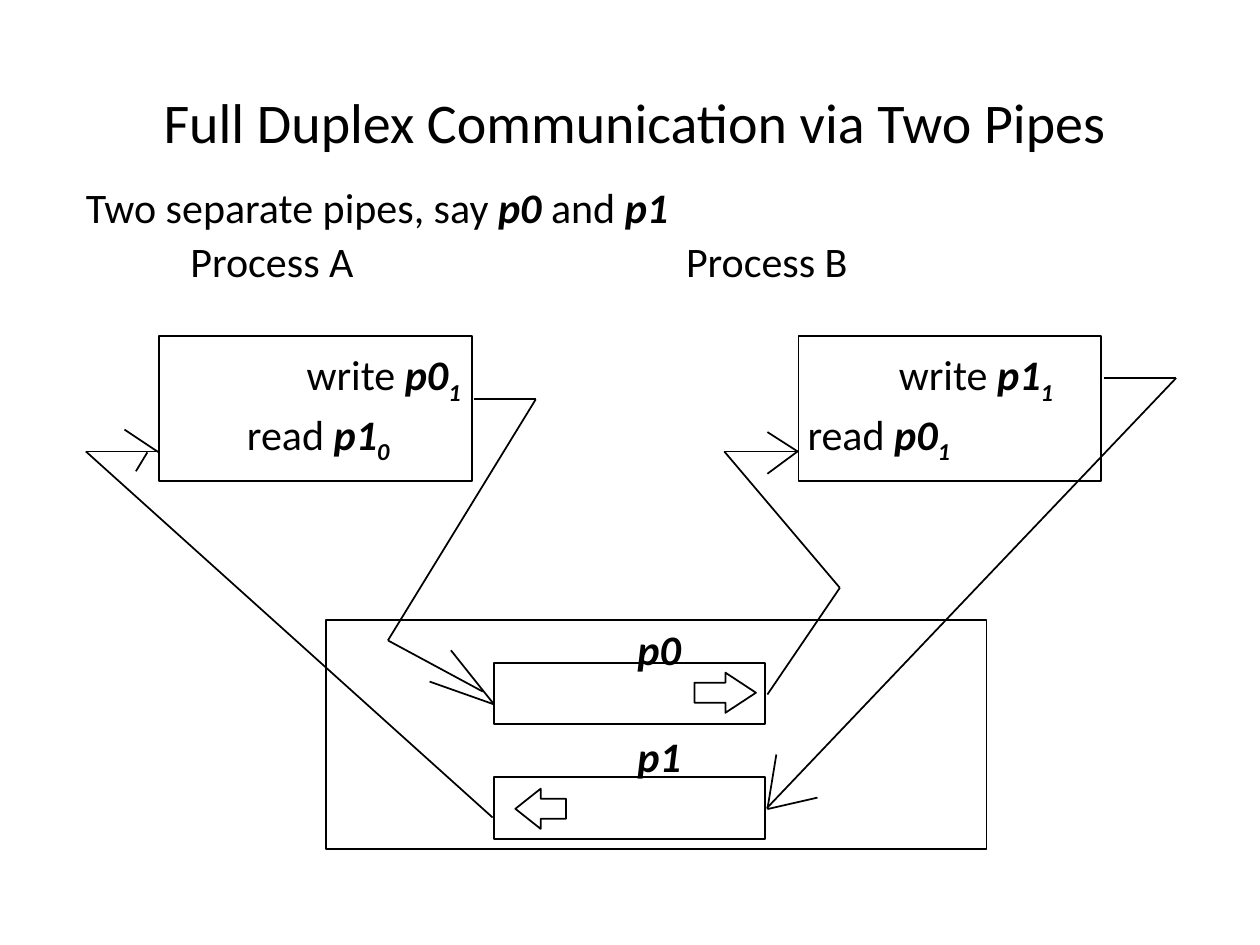
"""Build a slide on full duplex communication between two processes via two pipes."""
from pptx import Presentation
from pptx import util as u
from pptx.dml.color import RGBColor
from pptx.enum import shapes, text
from pptx.oxml.ns import qn
from lxml import etree

BLACK = RGBColor(0x00, 0x00, 0x00)
WHITE = RGBColor(0xFF, 0xFF, 0xFF)
SHAPE = shapes.MSO_SHAPE


class Diagram:
    """Draw outlined shapes, routes and labels on one slide, in centimetres."""

    font = "Calibri"
    size = 24
    line_width = u.Pt(1)

    def __init__(self, slide):
        self.slide = slide
        slide.background.fill.solid()
        slide.background.fill.fore_color.rgb = WHITE

    def style(self, r, size, strong=False):
        r.font.name, r.font.size = self.font, u.Pt(size)
        r.font.color.rgb = BLACK
        r.font.bold = r.font.italic = strong

    def title(self, words, *box):
        sp = self.slide.shapes.title
        sp.left, sp.top, sp.width, sp.height = map(u.Cm, box)
        tf = sp.text_frame
        tf.text = words
        tf.vertical_anchor = text.MSO_ANCHOR.MIDDLE
        p = tf.paragraphs[0]
        p.alignment = text.PP_ALIGN.CENTER
        self.style(p.runs[0], 32)

    def label(self, x, y, width, *parts):
        """Write plain, strong and subscript parts, marked '', '*' and '_'."""
        sp = self.slide.shapes.add_textbox(*map(u.Cm, (x, y, width, 1.03)))
        tf = sp.text_frame
        tf.word_wrap = True
        tf.margin_left = tf.margin_right = tf.margin_top = tf.margin_bottom = 0
        for mark, words in parts:
            r = tf.paragraphs[0].add_run()
            r.text = words
            self.style(r, self.size, strong=bool(mark))
            if mark == "_":
                r.font._element.set("baseline", "-25000")

    def shape(self, kind, *box, head=None):
        sp = self.slide.shapes.add_shape(kind, *map(u.Cm, box))
        sp.shadow.inherit = False
        sp.fill.background()
        sp.line.color.rgb = BLACK
        sp.line.width = self.line_width
        if head:
            sp.adjustments[1] = head

    def route(self, *points):
        for start, end in zip(points, points[1:]):
            line = self.slide.shapes.add_connector(
                shapes.MSO_CONNECTOR.STRAIGHT, *map(u.Cm, start + end))
            line.line.color.rgb = BLACK
            line.line.width = self.line_width
            etree.SubElement(line._element.spPr, qn("a:effectLst"))


prs = Presentation()
prs.slide_width, prs.slide_height = u.Cm(25.4), u.Cm(19.05)
s = Diagram(prs.slides.add_slide(prs.slide_layouts[5]))

s.title("Full Duplex Communication via Two Pipes", 1.47, 1.7, 22.66, 1.47)
s.label(1.73, 3.65, 20, ("", "Two separate pipes, say "), ("*", "p0 "),
        ("", "and "), ("*", "p1"))

PROCESS_TOP, PROCESS_HEIGHT = 6.78, 2.92
PROCESSES = [
    ("Process A", 3.84, 3.2, 6.32, (6.18, "p0", "1"), (4.98, "p1", "0")),
    ("Process B", 13.83, 16.1, 6.1, (18.12, "p1", "1"), (16.28, "p0", "1")),
]
for name, name_x, left, width, write, read in PROCESSES:
    s.label(name_x, 4.75, 5, ("", name))
    s.shape(SHAPE.RECTANGLE, left, PROCESS_TOP, width, PROCESS_HEIGHT)
    for verb, y, (x, pipe, end) in (("write ", 7.03, write), ("read ", 8.23, read)):
        s.label(x, y, 4, ("", verb), ("*", pipe), ("_", end))

s.shape(SHAPE.RECTANGLE, 6.58, 12.5, 13.31, 4.62)
PIPES = [
    ("p0", 12.57, 13.36, SHAPE.RIGHT_ARROW, (14, 13.56, 1.24, 0.81), 0.76),
    ("p1", 14.73, 15.67, SHAPE.LEFT_ARROW, (10.39, 15.9, 1.02, 0.81), 0.63),
]
for name, name_y, top, arrow, arrow_box, head in PIPES:
    s.label(12.85, name_y, 2, ("*", name))
    s.shape(SHAPE.RECTANGLE, 9.96, top, 5.46, 1.24)
    s.shape(arrow, *arrow_box, head=head)

ROUTES = {
    "A to p0": [(9.55, 8.05), (10.8, 8.05), (7.82, 12.91), (9.73, 13.94)],
    "p0 to B": [(15.47, 14), (16.93, 11.85), (14.6, 9.1), (16.08, 9.1)],
    "B to p1": [(22.25, 7.62), (23.71, 7.62), (15.46, 16.29)],
    "p1 to A": [(9.93, 16.48), (1.73, 9.1), (3.15, 9.1)],
    "head at p0": [(9.09, 13.11), (9.96, 14.2), (8.66, 13.74)],
    "head at B": [(15.47, 8.71), (16.08, 9.1), (15.47, 9.55)],
    "head at p1": [(15.65, 15.21), (15.47, 16.31), (16.48, 16.08)],
    "upper barb at A": [(2.51, 8.66), (3.2, 9.12)],
    "lower barb at A": [(2.97, 9.12), (2.74, 9.5)],
}
for points in ROUTES.values():
    s.route(*points)

prs.save("out.pptx")
